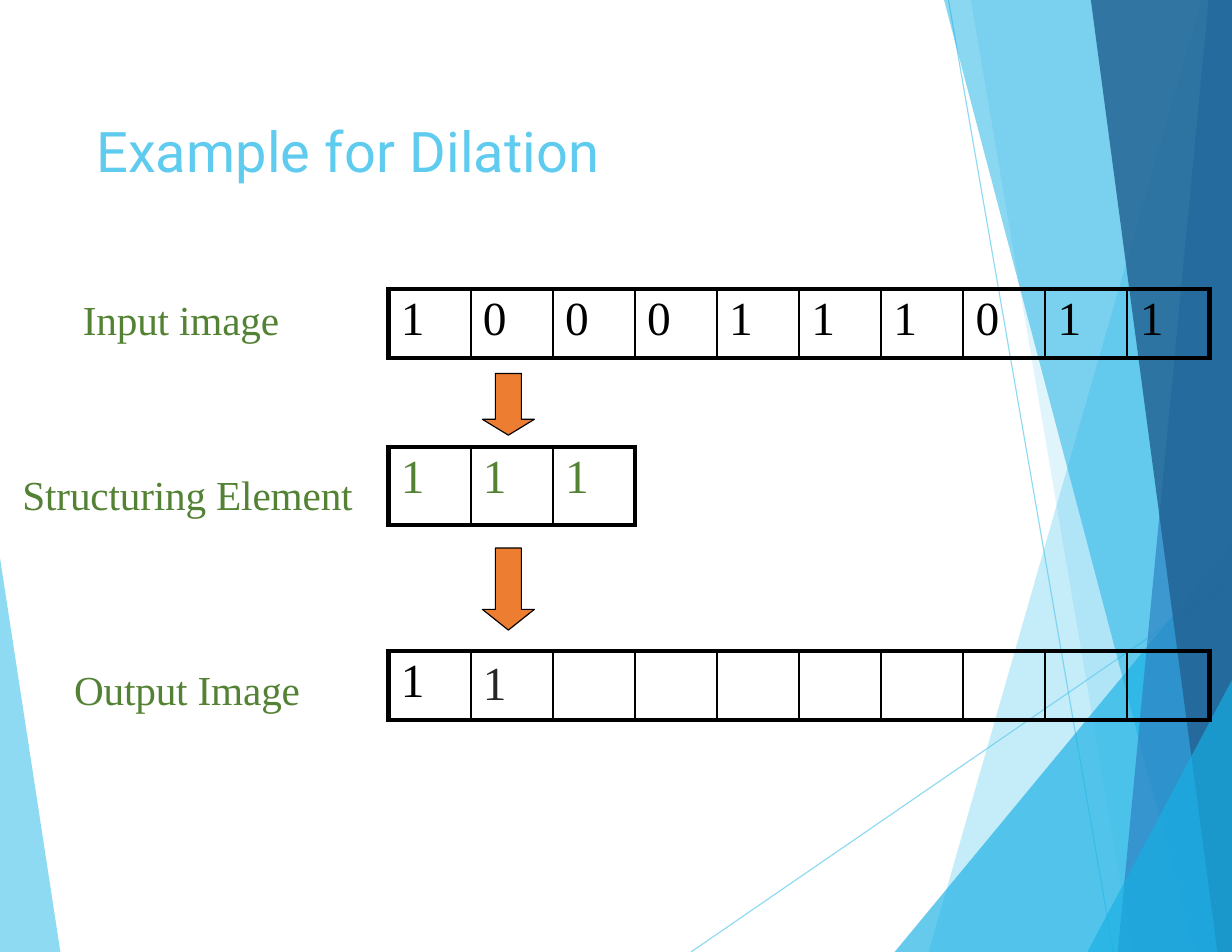
from dataclasses import dataclass

from pptx import Presentation
from pptx.dml.color import RGBColor
from pptx.enum.shapes import MSO_CONNECTOR, MSO_SHAPE
from pptx.oxml.ns import qn
from pptx.util import Cm, Pt
from lxml import etree

STRAIGHT = MSO_CONNECTOR.STRAIGHT
DOWN_ARROW = MSO_SHAPE.DOWN_ARROW
WIDTH, HEIGHT = 27.94, 21.59  # all lengths are centimetres


@dataclass(frozen=True)
class Theme:
    sky: str = "5FCBEF"
    cyan: str = "17B0E4"
    blue: str = "2E83C3"
    navy: str = "226292"
    green: str = "548235"
    orange: str = "ED7D31"
    black: str = "000000"
    charcoal: str = "262626"
    title_font: str = "Roboto"
    body_font: str = "Times New Roman"
    title_size: float = 36
    label_size: float = 26.5
    digit_size: float = 30.5
    outer_line: float = 3
    inner_line: float = 1.5
    thin_line: float = 0.75


def write_text(frame, text, *, font, size, color, spacing=0):
    """Put one formatted span in the first paragraph of a frame."""
    span = frame.paragraphs[0].add_run()
    span.text = text
    span.font.name = font
    span.font.size = Pt(size)
    span.font.color.rgb = RGBColor.from_string(color)
    if spacing:
        span.font._element.set("spc", str(spacing))


def set_opacity(shape, percent):
    for color in shape._element.spPr.iter(qn("a:srgbClr")):
        etree.SubElement(color, qn("a:val").replace("val", "alpha"), val=str(percent * 1000))


def set_border(cell, side, points, color):
    line = etree.SubElement(cell._tc.get_or_add_tcPr(), qn(f"a:ln{side}"),
                            w=str(Pt(points)))
    fill = etree.SubElement(line, qn("a:solidFill"))
    etree.SubElement(fill, qn("a:srgbClr"), val=color)


class SlideBuilder:
    def __init__(self, page, theme):
        self.page = page
        self.theme = theme

    def shard(self, points, color, opacity):
        corners = [(Cm(x), Cm(y)) for x, y in points]
        outline = self.page.shapes.build_freeform(*corners[0], scale=1.0)
        outline.add_line_segments(corners[1:], close=True)
        shape = outline.convert_to_shape()
        shape.shadow.inherit = False
        shape.fill.solid()
        shape.fill.fore_color.rgb = RGBColor.from_string(color)
        shape.line.fill.background()
        set_opacity(shape, opacity)

    def line(self, start, end, color, opacity):
        x1, y1, x2, y2 = (Cm(value) for value in (*start, *end))
        line = self.page.shapes.add_connector(STRAIGHT, x1, y1, x2, y2)
        line.line.color.rgb = RGBColor.from_string(color)
        line.line.width = Pt(self.theme.thin_line)
        etree.SubElement(line._element.spPr, qn("a:effectLst"))
        set_opacity(line, opacity)

    def text(self, left, top, width, height, text, **style):
        box = self.page.shapes.add_textbox(Cm(left), Cm(top), Cm(width), Cm(height))
        frame = box.text_frame
        frame.word_wrap = True
        frame.margin_left = frame.margin_right = 0
        frame.margin_top = frame.margin_bottom = 0
        write_text(frame, text, **style)

    def label(self, left, top, width, text):
        theme = self.theme
        self.text(left, top, width, 1.1, text, font=theme.body_font,
                  size=theme.label_size, color=theme.green, spacing=-10)

    def pixel_row(self, top, height, digits, colors, count):
        """Draw a one-row table; cells beyond the given digits stay empty."""
        theme, left, column_width = self.theme, 8.81, 1.862
        table = self.page.shapes.add_table(
            1, count, Cm(left), Cm(top), Cm(column_width * count), Cm(height)).table
        table.first_row = table.horz_banding = False
        for column in table.columns:
            column.width = Cm(column_width)
        for index, cell in enumerate(table.rows[0].cells):
            cell.margin_left, cell.margin_right = Cm(0.28), 0
            cell.margin_top, cell.margin_bottom = Cm(0.11), 0
            borders = {
                "L": theme.inner_line if index else theme.outer_line,
                "R": theme.inner_line if index < count - 1 else theme.outer_line,
                "T": theme.outer_line,
                "B": theme.outer_line,
            }
            for side, points in borders.items():
                set_border(cell, side, points, theme.black)
            cell.fill.background()
            if index < len(digits):
                write_text(cell.text_frame, digits[index], font=theme.body_font,
                           size=theme.digit_size, color=colors[index])
        return table

    def arrow(self, top, height, head):
        width = 1.18
        shape = self.page.shapes.add_shape(DOWN_ARROW, Cm(10.94), Cm(top),
                                           Cm(width), Cm(height))
        shape.adjustments[0] = 0.5
        shape.adjustments[1] = head / width
        shape.shadow.inherit = False
        shape.fill.solid()
        shape.fill.fore_color.rgb = RGBColor.from_string(self.theme.orange)
        shape.line.color.rgb = RGBColor.from_string(self.theme.black)
        shape.line.width = Pt(self.theme.thin_line)


def main():
    theme = Theme()
    deck = Presentation()
    deck.slide_width, deck.slide_height = Cm(WIDTH), Cm(HEIGHT)
    builder = SlideBuilder(deck.slides.add_slide(deck.slide_layouts[6]), theme)

    # Background: left shard and crossing lines
    builder.shard([(0, 12.65), (1.37, HEIGHT), (0, HEIGHT)], theme.sky, 70)
    builder.line((15.67, HEIGHT), (WIDTH, 13.16), theme.sky, 70)
    builder.line((21.51, 0), (25.25, HEIGHT), theme.sky, 70)

    # Background: right shards, each from its slanted edge to the slide edge
    for top_point, bottom_x, color, opacity in [
        ((27.25, 0), 21.06, theme.sky, 36),
        ((22.02, 0), 25.68, theme.sky, 20),
        ((WIDTH, 12.34), 20.29, theme.cyan, 66),
        ((21.41, 0), 27.1, theme.cyan, 50),
        ((27.41, 0), 25.35, theme.blue, 70),
        ((24.74, 0), 27.61, theme.navy, 82),
        ((WIDTH, 15.42), 24.66, theme.cyan, 66),
    ]:
        points = [top_point, (bottom_x, HEIGHT), (WIDTH, HEIGHT)]
        if top_point[0] < WIDTH:
            points.append((WIDTH, 0))
        builder.shard(points, color, opacity)

    # Title
    builder.text(2.18, 2.65, 18.6, 1.5, "Example for Dilation", font=theme.title_font,
                 size=theme.title_size, color=theme.sky, spacing=10)

    # Row labels
    builder.label(1.88, 6.68, 5.5, "Input image")
    builder.label(0.51, 10.64, 8.2, "Structuring Element")
    builder.label(1.68, 15.06, 6, "Output Image")

    # Pixel rows
    builder.pixel_row(6.55, 1.57, "1000111011", [theme.black] * 10, 10)
    builder.pixel_row(10.13, 1.78, "111", [theme.green] * 3, 3)
    output = builder.pixel_row(14.76, 1.57, "11", [theme.black, theme.charcoal], 10)
    output.cell(0, 1).margin_top = Cm(0.16)

    # Flow arrows
    builder.arrow(8.47, 1.4, 0.36)
    builder.arrow(12.43, 1.86, 0.47)

    deck.save("out.pptx")


if __name__ == "__main__":
    main()
